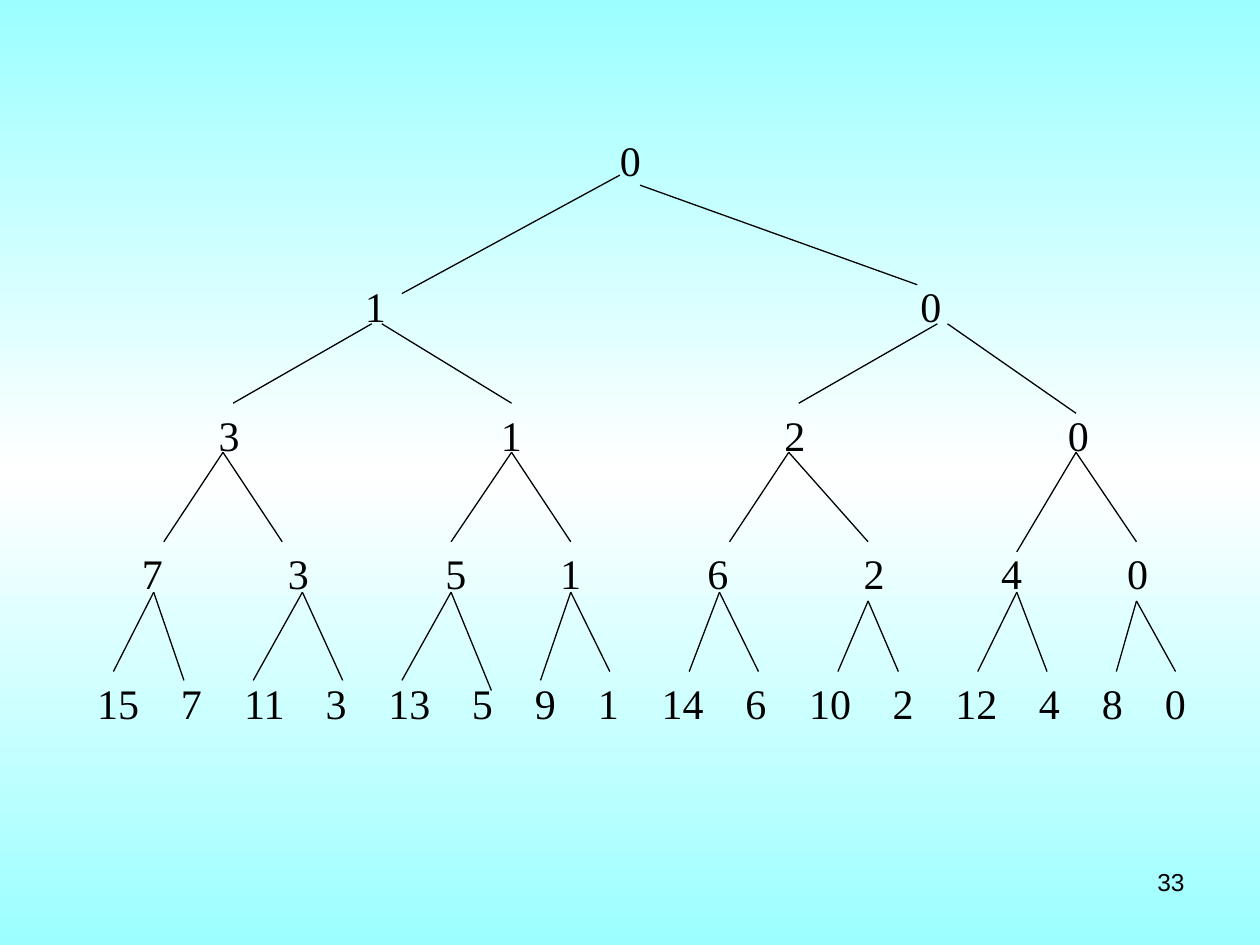
from copy import deepcopy

from pptx import Presentation
from pptx.dml.color import RGBColor
from pptx.enum.shapes import MSO_CONNECTOR
from pptx.enum.text import PP_ALIGN
from pptx.oxml.ns import qn
from pptx.util import Inches, Pt
from lxml.etree import SubElement


def rgb(color):
    return RGBColor.from_string(color)


def add_text(s, box, text, size, font, align, inset=(0.1, 0.05), centers=()):
    """Add one line of text, with centred tab stops at the slide positions in centers."""
    sp = s.shapes.add_textbox(*[Inches(v) for v in box])
    tf = sp.text_frame
    tf.word_wrap = True
    tf.margin_left = tf.margin_right = Inches(inset[0])
    tf.margin_top = tf.margin_bottom = Inches(inset[1])
    p = tf.paragraphs[0]
    p.alignment = align
    if centers:
        tabs = SubElement(p._p.get_or_add_pPr(), qn("a:tabLst"))
        for x in centers:
            SubElement(tabs, qn("a:tab"), pos=str(Inches(x - box[0] - inset[0])), algn="ctr")
    r = p.add_run()
    r.text = text
    r.font.size = Pt(size)
    r.font.name = font
    r.font.color.rgb = rgb("000000")


prs = Presentation()
prs.slide_width, prs.slide_height = Inches(10), Inches(7.5)
s = prs.slides.add_slide(prs.slide_layouts[6])

fill = s.background.fill
fill.gradient()
fill.gradient_angle = 90
stops = s.element.find(".//" + qn("a:gsLst"))
stops.insert(1, deepcopy(stops[0]))
for stop, position, color in zip(fill.gradient_stops, (0, 0.5, 1), ("9BFFFF", "FFFFFF", "9BFFFF")):
    stop.position = position
    stop.color.rgb = rgb(color)

add_text(s, (8.94, 6.83, 0.56, 0.52), "33", 14, "Arial", PP_ALIGN.RIGHT)
add_text(s, (4.92, 1.07, 0.54, 0.33), "0", 24, "Times New Roman", PP_ALIGN.LEFT, inset=(0, 0))

# Each level: text box, node labels, node centres
levels = [
    ((1.3, 2.18, 8.27, 0.3), "1 0", (2.98, 7.39)),
    ((1.22, 3.2, 7.72, 0.47), "3 1 2 0", (1.82, 4.06, 6.31, 8.56)),
    ((0.27, 4.3, 9.73, 0.56), "7 3 5 1 6 2 4 0",
     (1.21, 2.37, 3.62, 4.53, 5.7, 6.94, 8.03, 9.03)),
    ((0.67, 5.33, 9.06, 0.55), "15 7 11 3 13 5 9 1 14 6 10 2 12 4 8 0",
     (0.94, 1.52, 2.1, 2.67, 3.25, 3.83, 4.33, 4.83,
      5.42, 6, 6.59, 7.17, 7.75, 8.33, 8.83, 9.33)),
]
for box, labels, centers in levels:
    text = "".join("\t" + label for label in labels.split())
    add_text(s, box, text, 24, "Times New Roman", PP_ALIGN.LEFT, centers=centers)

# Branches that start at one point: parent x, y, left child x, y, right child x, y
forks = [
    (1.22, 4.7, 0.9, 5.33, 1.46, 5.4),
    (2.4, 4.7, 2.01, 5.4, 2.72, 5.4),
    (3.58, 4.7, 3.19, 5.4, 3.9, 5.48),
    (4.53, 4.7, 4.29, 5.4, 4.84, 5.33),
    (5.71, 4.7, 5.47, 5.33, 6.02, 5.33),
    (6.89, 4.77, 6.65, 5.33, 7.13, 5.33),
    (8.07, 4.7, 7.76, 5.33, 8.31, 5.33),
    (9.02, 4.77, 8.86, 5.33, 9.33, 5.33),
    (1.77, 3.59, 1.3, 4.3, 2.24, 4.3),
    (4.06, 3.59, 3.58, 4.3, 4.53, 4.3),
    (6.26, 3.59, 5.79, 4.3, 6.89, 4.3),
    (8.54, 3.59, 8.07, 4.38, 9.02, 4.3),
]
branches = [(x, y, *child) for x, y, *ends in forks for child in (ends[:2], ends[2:])]
branches += [
    (1.85, 3.2, 2.95, 2.57),
    (3.03, 2.57, 4.06, 3.2),
    (6.34, 3.2, 7.44, 2.57),
    (7.52, 2.57, 8.54, 3.28),
    (4.92, 1.39, 3.19, 2.33),
    (5.08, 1.47, 7.28, 2.26),
]
for branch in branches:
    line = s.shapes.add_connector(MSO_CONNECTOR.STRAIGHT, *[Inches(v) for v in branch])
    line.line.color.rgb = rgb("000000")
    line.line.width = Pt(0.75)
    SubElement(line._element.spPr, qn("a:effectLst"))

prs.save("out.pptx")
